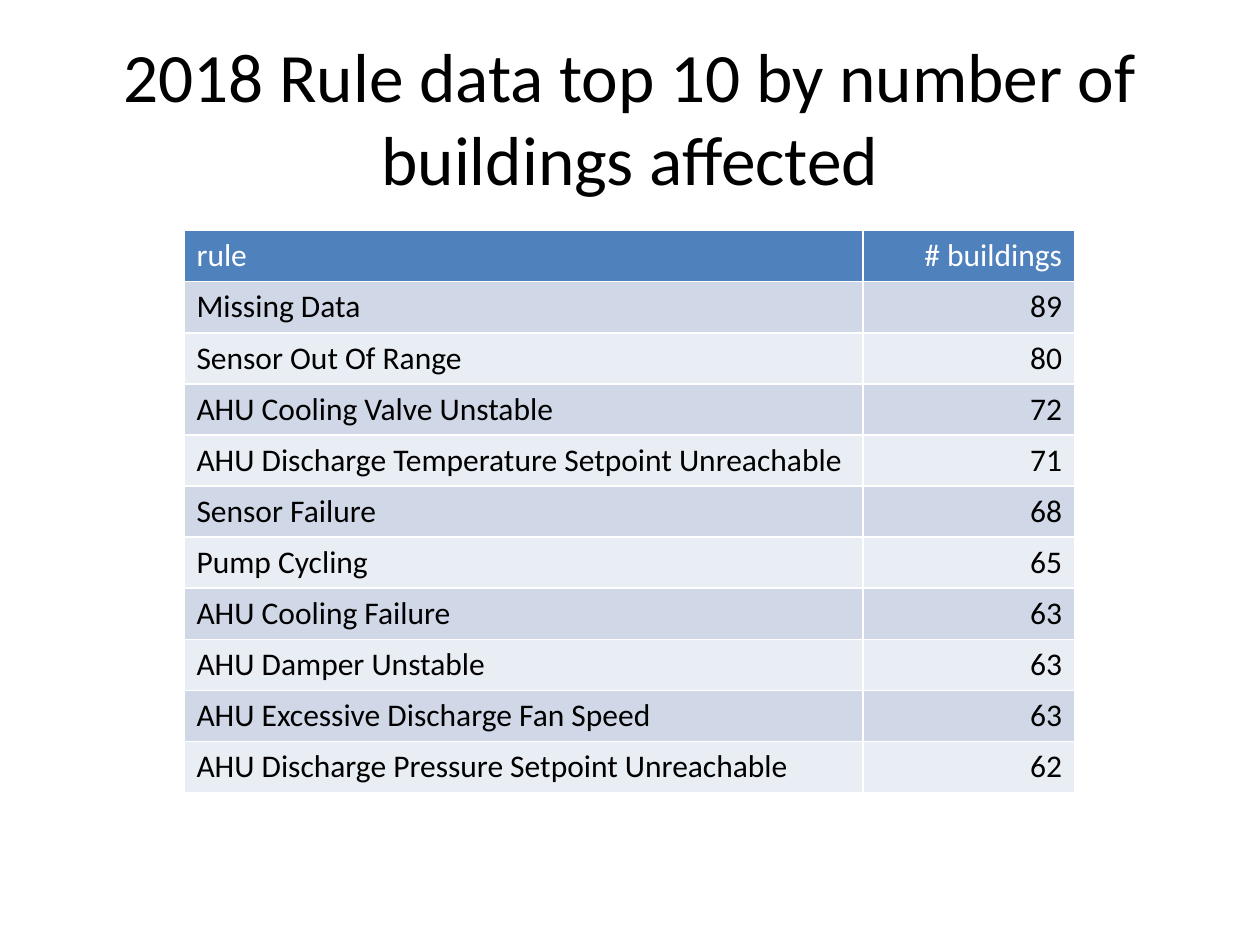
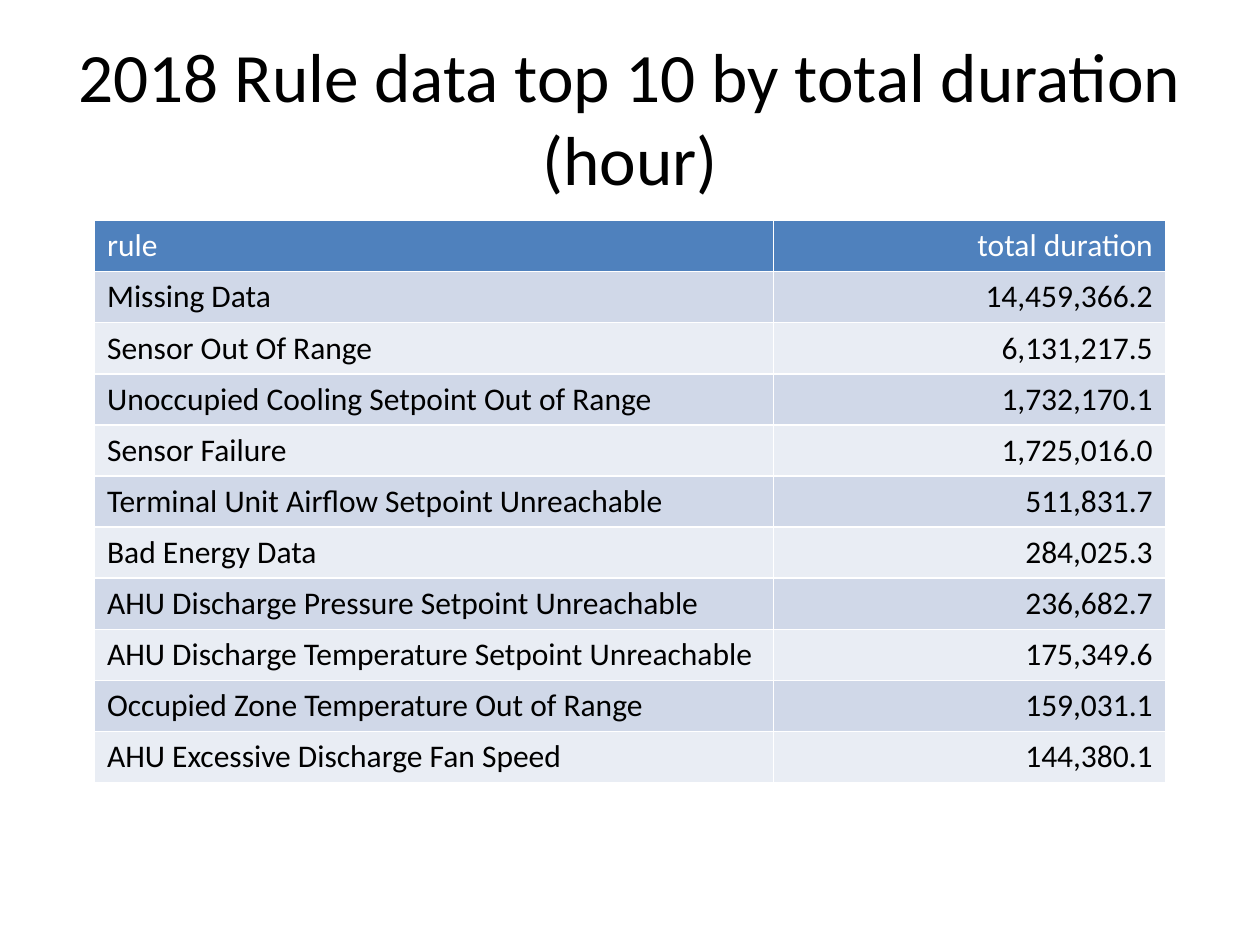
from pptx import Presentation
from pptx.dml.color import RGBColor
from pptx.enum.text import MSO_ANCHOR, MSO_AUTO_SIZE, PP_ALIGN
from pptx.util import Inches, Pt

COLORS = {
    "text": "000000",
    "header": "4F81BD",
    "header_text": "FFFFFF",
    "odd_row": "D0D8E8",
    "even_row": "E9EDF4",
}
FONT = "Calibri"
TITLE_BOX = (0.5, 0.3, 9, 1.25)
ROW_HEIGHT = 0.4
RULE_WIDTH = 5.39

BUILDINGS = [
    ("rule", "# buildings"),
    ("Missing Data", "89"),
    ("Sensor Out Of Range", "80"),
    ("AHU Cooling Valve Unstable", "72"),
    ("AHU Discharge Temperature Setpoint Unreachable", "71"),
    ("Sensor Failure", "68"),
    ("Pump Cycling", "65"),
    ("AHU Cooling Failure", "63"),
    ("AHU Damper Unstable", "63"),
    ("AHU Excessive Discharge Fan Speed", "63"),
    ("AHU Discharge Pressure Setpoint Unreachable", "62"),
]
DURATIONS = [
    ("rule", "total duration"),
    ("Missing Data", "14,459,366.2"),
    ("Sensor Out Of Range", "6,131,217.5"),
    ("Unoccupied Cooling Setpoint Out of Range", "1,732,170.1"),
    ("Sensor Failure", "1,725,016.0"),
    ("Terminal Unit Airflow Setpoint Unreachable", "511,831.7"),
    ("Bad Energy Data", "284,025.3"),
    ("AHU Discharge Pressure Setpoint Unreachable", "236,682.7"),
    ("AHU Discharge Temperature Setpoint Unreachable", "175,349.6"),
    ("Occupied Zone Temperature Out of Range", "159,031.1"),
    ("AHU Excessive Discharge Fan Speed", "144,380.1"),
]


def color(name):
    return RGBColor.from_string(COLORS[name])


def write(para, text, size, color_name, align):
    para.alignment = align
    span = para.add_run()
    span.text = text
    span.font.name = FONT
    span.font.size = Pt(size)
    span.font.bold = False
    span.font.color.rgb = color(color_name)


def add_title(page, text):
    title = page.shapes.title
    title.left, title.top, title.width, title.height = map(Inches, TITLE_BOX)
    frame = title.text_frame
    frame.word_wrap = True
    frame.auto_size = MSO_AUTO_SIZE.NONE
    frame.vertical_anchor = MSO_ANCHOR.MIDDLE
    write(frame.paragraphs[0], text, 39.6, "text", PP_ALIGN.CENTER)


def add_ranking(page, rows, left, top, width):
    table = page.shapes.add_table(
        len(rows), 2, Inches(left), Inches(top),
        Inches(width), Inches(ROW_HEIGHT * len(rows)),
    ).table
    table.columns[0].width = Inches(RULE_WIDTH)
    table.columns[1].width = Inches(width - RULE_WIDTH)
    for index, values in enumerate(rows):
        if index == 0:
            fill, ink = "header", "header_text"
        else:
            fill, ink = ("odd_row" if index % 2 else "even_row"), "text"
        for column, (text, align) in enumerate(zip(values, (PP_ALIGN.LEFT, PP_ALIGN.RIGHT))):
            cell = table.cell(index, column)
            cell.fill.solid()
            cell.fill.fore_color.rgb = color(fill)
            write(cell.text_frame.paragraphs[0], text, 18, ink, align)


def add_ranking_slide(deck, title, rows, box):
    page = deck.slides.add_slide(deck.slide_layouts.get_by_name("Title Only"))
    add_ranking(page, rows, *box)
    add_title(page, title)


def main():
    deck = Presentation()
    deck.slide_width, deck.slide_height = Inches(10), Inches(7.5)
    add_ranking_slide(deck, "2018 Rule data top 10 by number of buildings affected",
                      BUILDINGS, (1.46, 1.83, 7.07))
    add_ranking_slide(deck, "2018 Rule data top 10 by total duration (hour)",
                      DURATIONS, (0.75, 1.75, 8.5))
    deck.save("out.pptx")


if __name__ == "__main__":
    main()
